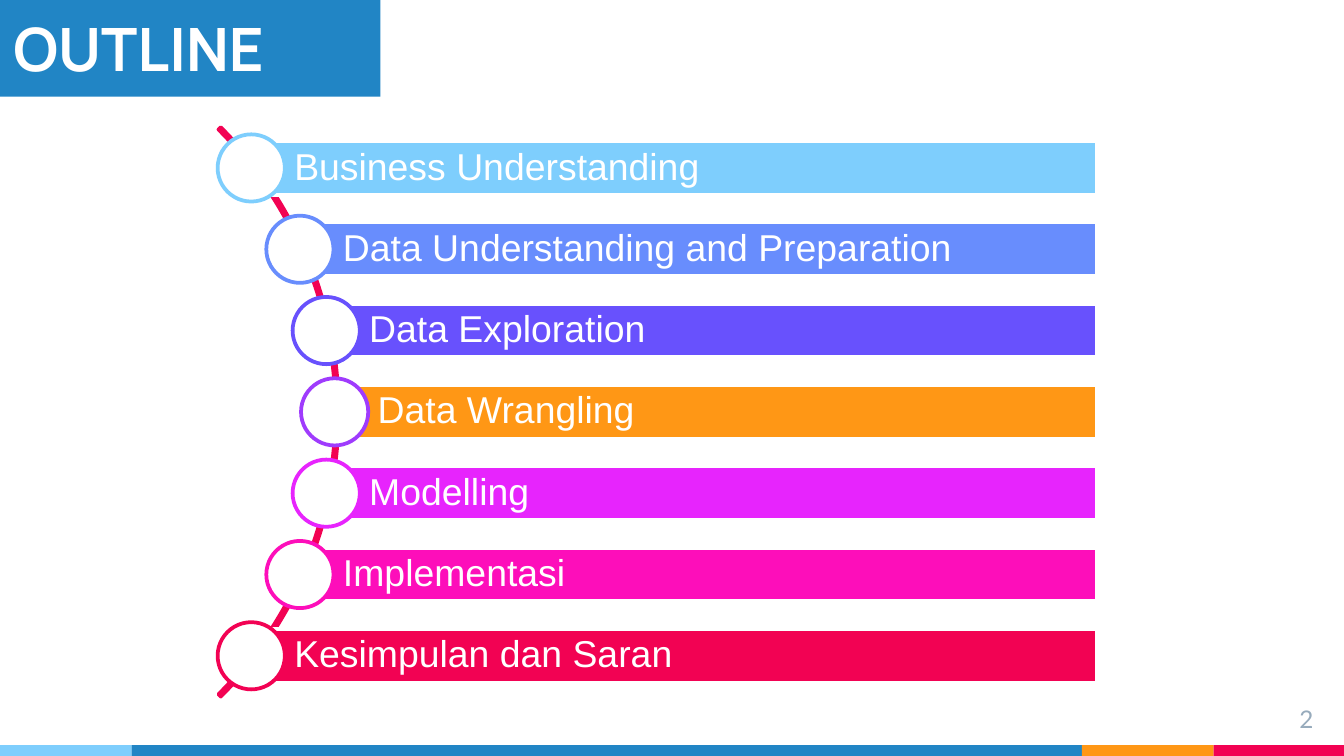
from math import sqrt

from pptx import Presentation
from pptx.dml.color import RGBColor
from pptx.enum.shapes import MSO_SHAPE as Shape
from pptx.enum.text import MSO_ANCHOR as Anchor, PP_ALIGN as Align
from pptx.util import Inches, Pt

WIDTH, HEIGHT = 10, 5.625
WHITE, BLUE, RED = "FFFFFF", "2185C5", "F20253"
TOPICS = [
    ("Business Understanding", "7ECEFD", "7ECEFD"),
    ("Data Understanding and Preparation", "688DFD", "688DFD"),
    ("Data Exploration", "6851FD", "6851FD"),
    ("Data Wrangling", "FF9715", "9F3BFD"),
    ("Modelling", "E724FD", "E724FD"),
    ("Implementasi", "FD0EBA", "FD0EBA"),
    ("Kesimpulan dan Saran", RED, RED),
]
FOOTER = [("7ECEFD", 0.98), (BLUE, 7.07), ("FF9715", 0.98), (RED, 0.97)]
FOOTER_HEIGHT = 0.08

ARC_X, ARC_Y, ARC_SIZE = -0.475, 3.065, 5.99
TOPIC_RADIUS, TOPIC_STEP = 2.965, 0.605
BAR_RIGHT, BAR_HEIGHT, DOT = 8.16, 0.4, 0.5


def color(value):
    return RGBColor.from_string(value)


def place(part, left, top, width, height):
    part.left, part.top, part.width, part.height = map(
        Inches, (left, top, width, height))


def add_part(kind, box, fill=None, line=None):
    part = slide.shapes.add_shape(kind, *map(Inches, box))
    part.shadow.inherit = False
    if fill:
        part.fill.solid()
        part.fill.fore_color.rgb = color(fill)
    else:
        part.fill.background()
    if line:
        part.line.color.rgb = color(line)
        part.line.width = Pt(2)
    else:
        part.line.fill.background()
    return part


def write(part, text, font, size, ink, insets, anchor, align=Align.LEFT, bold=False):
    frame = part.text_frame
    frame.text = text
    frame.word_wrap = True
    frame.vertical_anchor = anchor
    frame.margin_left, frame.margin_top, frame.margin_right, frame.margin_bottom = map(
        Inches, insets)
    paragraph = frame.paragraphs[0]
    paragraph.alignment = align
    paragraph.font.name, paragraph.font.size, paragraph.font.bold = font, Pt(size), bold
    paragraph.font.color.rgb = color(ink)
    return paragraph


def build():
    """Draw the outline: footer stripe, title, page number and topics along an arc."""
    left = 0
    for fill, width in FOOTER:
        add_part(Shape.RECTANGLE, (left, HEIGHT - FOOTER_HEIGHT, width, FOOTER_HEIGHT), fill)
        left += width

    page = slide.shapes.add_textbox(*map(Inches, (9.27, 5.14, 0.6, 0.34)))
    write(page, "2", "Lato", 13, "97ABBC", [0.1] * 4, Anchor.TOP, Align.RIGHT)

    title = slide.shapes.title
    place(title, 0, -0.03, 2.83, 0.75)
    title.fill.solid()
    title.fill.fore_color.rgb = color(BLUE)
    write(title, "OUTLINE", "Manrope", 32, WHITE, [0.1] * 4, Anchor.BOTTOM, bold=True)

    arc = add_part(Shape.BLOCK_ARC, (ARC_X - ARC_SIZE / 2, ARC_Y - ARC_SIZE / 2,
                                     ARC_SIZE, ARC_SIZE), line=RED)
    for index, angle in enumerate((189, 27, 0.004)):
        arc.adjustments[index] = angle

    for row, (topic, fill, ring) in enumerate(TOPICS):
        offset = (row - (len(TOPICS) - 1) / 2) * TOPIC_STEP
        x, y = ARC_X + sqrt(TOPIC_RADIUS ** 2 - offset ** 2), ARC_Y + offset
        bar = add_part(Shape.RECTANGLE, (x, y - BAR_HEIGHT / 2, BAR_RIGHT - x, BAR_HEIGHT),
                       fill, WHITE)
        label = write(bar, topic, "Arial", 20, WHITE, (0.32, 0.06, 0.06, 0.06), Anchor.MIDDLE)
        label.line_spacing, label.space_after = 0.9, Pt(7)
        add_part(Shape.OVAL, (x - DOT / 2, y - DOT / 2, DOT, DOT), WHITE, ring)


deck = Presentation()
deck.slide_width, deck.slide_height = Inches(WIDTH), Inches(HEIGHT)
slide = deck.slides.add_slide(deck.slide_layouts[5])
build()
deck.save("out.pptx")
